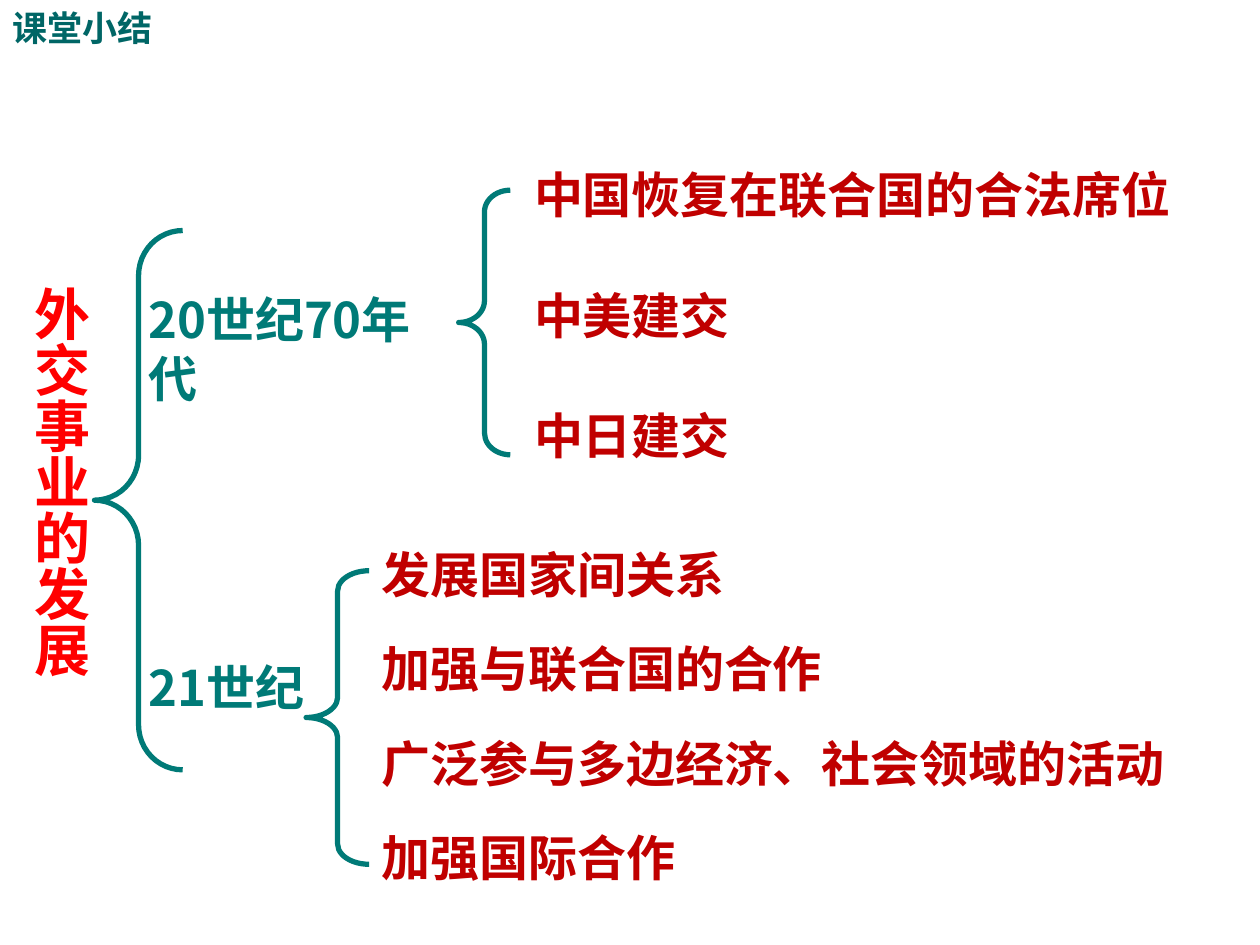
from lxml import etree
from pptx import Presentation
from pptx.dml.color import RGBColor
from pptx.enum.shapes import MSO_SHAPE
from pptx.enum.text import MSO_AUTO_SIZE
from pptx.oxml.ns import qn
from pptx.util import Inches, Pt

COLS, ROWS = 100, 75
TEAL, DEEP_TEAL, RED, DARK_RED = "007A77", "006666", "FF0000", "C00000"
CJK = "Noto Sans CJK SC"


def rgb(value):
    return RGBColor.from_string(value)


class Summary:
    """Draws on one slide; places and sizes are in grid columns and rows."""

    def __init__(self, prs):
        self.slide = prs.slides.add_slide(prs.slide_layouts[6])
        self.col = prs.slide_width / COLS
        self.row = prs.slide_height / ROWS

    def frame(self, x, y, w, h):
        return (round(x * self.col), round(y * self.row),
                round(w * self.col), round(h * self.row))

    def text(self, words, x, y, w, h=5.7, color=DARK_RED, size=28, font=CJK,
             vertical=False):
        sp = self.slide.shapes.add_textbox(*self.frame(x, y, w, h))
        tf = sp.text_frame
        tf.word_wrap = True
        tf.auto_size = MSO_AUTO_SIZE.SHAPE_TO_FIT_TEXT
        if vertical:
            tf.margin_left = tf.margin_right = Inches(0.05)
            tf.margin_top = tf.margin_bottom = Inches(0.1)
            tf._txBody.bodyPr.set("vert", "eaVert")
        r = tf.paragraphs[0].add_run()
        r.text = words
        r.font.size = Pt(size)
        r.font.bold = True
        r.font.name = font
        r.font.color.rgb = rgb(color)
        etree.SubElement(r._r.rPr, qn("a:ea"), typeface=CJK)

    def brace(self, x, y, w, h, curl):
        """Draw a left brace; curl is its bend height as a share of its width."""
        sp = self.slide.shapes.add_shape(MSO_SHAPE.LEFT_BRACE,
                                         *self.frame(x, y, w, h))
        sp.adjustments[0] = curl
        sp.shadow.inherit = False
        sp.fill.background()
        sp.line.color.rgb = rgb(TEAL)
        sp.line.width = Pt(3)

    def stack(self, lines, x, y, step):
        """Place lines of text, each with its box width, at equal steps."""
        for i, (words, w) in enumerate(lines):
            self.text(words, x, y + i * step, w)


def main():
    prs = Presentation()
    prs.slide_width, prs.slide_height = Inches(10), Inches(7.5)
    s = Summary(prs)

    s.text("课堂小结", 0, 0, 14.2, 4.4, DEEP_TEAL, 20, "Arial")
    s.text("外交事业的发展", 0.7, 21.7, 7.3, 43, RED, 32, vertical=True)
    s.brace(7.5, 18.3, 7, 42.8, 0.51)

    s.text("20世纪70年代", 10.8, 22.5, 25.9, 10.4, TEAL)
    s.brace(36.4, 15.1, 4.1, 21, 0.42)
    s.stack([("中国恢复在联合国的合法席位", 55.8),
             ("中美建交", 31.3),
             ("中日建交", 20.3)], 41.4, 12.6, 9.55)

    s.text("21世纪", 10.8, 51.7, 23.3, color=TEAL)
    s.brace(24.3, 45.3, 5, 23.3, 0.32)
    s.stack([("发展国家间关系", 41.8),
             ("加强与联合国的合作", 41.8),
             ("广泛参与多边经济、社会领域的活动", 66.7),
             ("加强国际合作", 29.3)], 29.3, 42.7, 7.5)

    prs.save("out.pptx")


if __name__ == "__main__":
    main()
